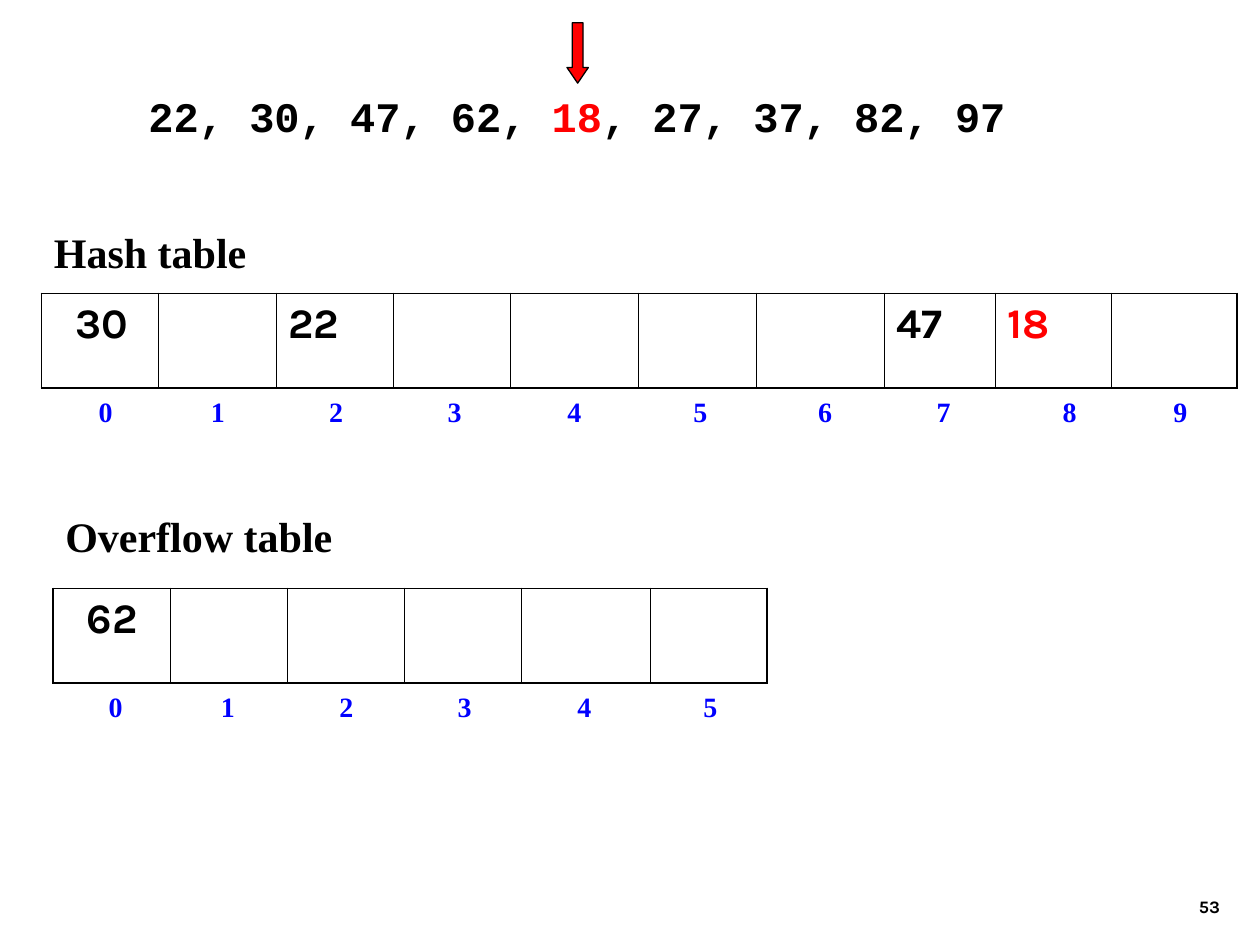
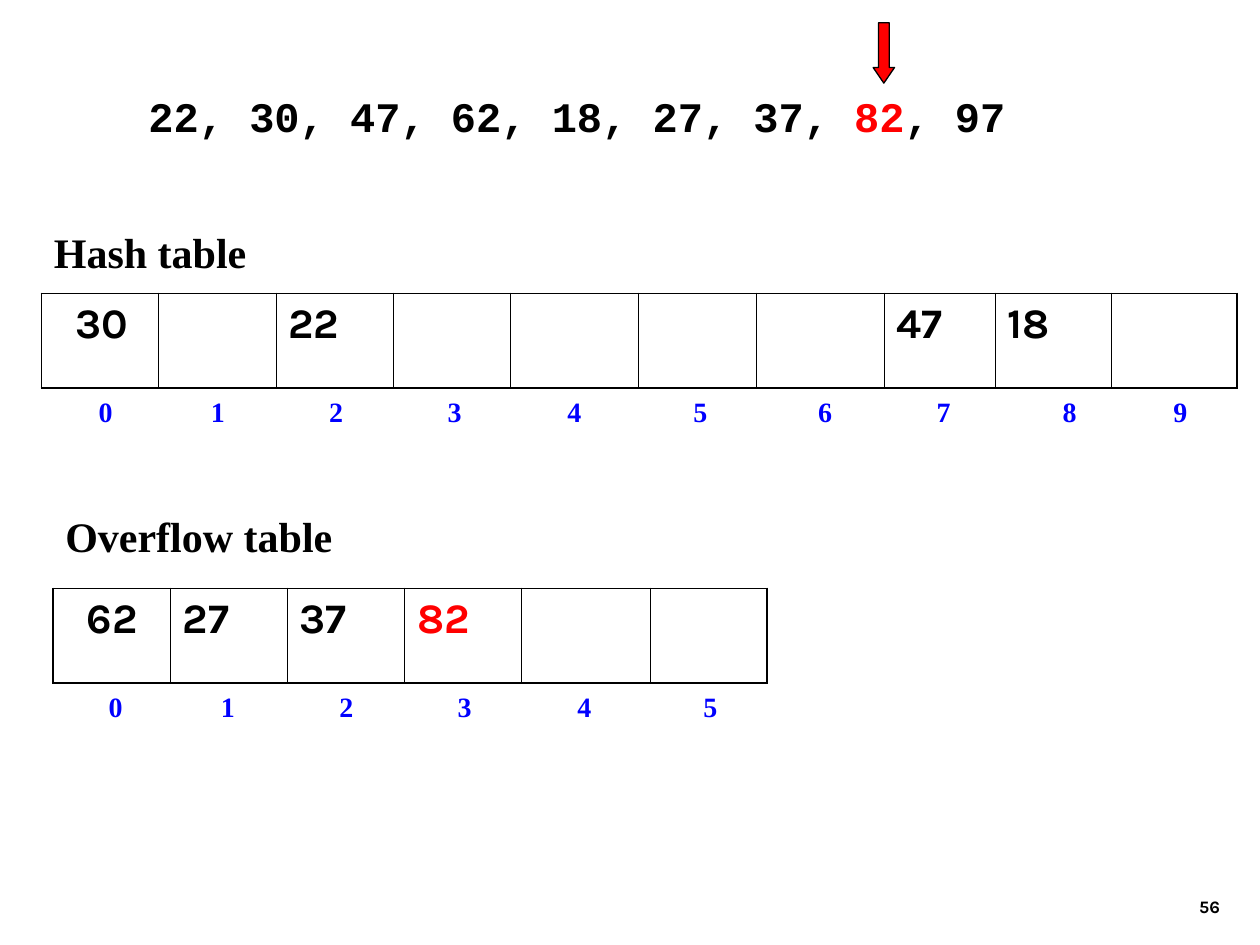
from dataclasses import dataclass
from typing import Any

from lxml.etree import SubElement
from pptx import Presentation
from pptx.dml.color import RGBColor
from pptx.enum.shapes import MSO_SHAPE
from pptx.enum.text import MSO_ANCHOR, PP_ALIGN
from pptx.oxml.ns import qn
from pptx.util import Inches, Pt


@dataclass(frozen=True)
class Theme:
    """Colours, fonts, type sizes and line widths shared by the slides."""
    ink: str = "000000"
    accent: str = "FF0000"
    index: str = "0000FF"
    serif: str = "Times New Roman"
    mono: str = "Courier New"
    sans: str = "Karla"
    large: float = 24
    medium: float = 16
    small: float = 10
    outer_line: float = 1.08
    inner_line: float = 0.45
    arrow_line: float = 0.75


@dataclass(frozen=True)
class Area:
    """A rectangle in inches."""
    left: float
    top: float
    width: float
    height: float

    def lengths(self) -> list[int]:
        """Return the rectangle as lengths."""
        return [Inches(side) for side in (self.left, self.top, self.width, self.height)]


@dataclass(frozen=True)
class Store:
    """A one-row table with its heading and the strip of slot numbers."""
    title: str
    heading: Area
    left: float
    top: float
    slots: int
    strip: Area


@dataclass(frozen=True)
class Step:
    """One insertion: the position of the current key and the page number."""
    current: int
    number: int


THEME = Theme()
KEYS = [22, 30, 47, 62, 18, 27, 37, 82, 97]
COLUMNS = [0.93, 0.93, 0.93, 0.93, 1.02, 0.93, 1.02, 0.88, 0.92, 1]
INDEX_STOPS = [0.49, 1.38, 2.32, 3.26, 4.21, 5.21, 6.2, 7.14, 8.14, 9.02]
ROW_HEIGHT = 0.75
CELL_MARGIN = 0.1
FIRST_CELL_MARGIN = 0.27
ARROW_START, KEY_PITCH = 1.26, 0.81
SEQUENCE = Area(1.08, 0.67, 7, 0.5)
PAGE_NUMBER = Area(7.7, 6.83, 2.08, 0.5)
HASH = Store("Hash table", Area(0.33, 1.75, 1.83, 0.5), 0.33, 2.33, 10,
             Area(0.25, 3.08, 9.58, 0.64))
OVERFLOW = Store("Overflow table", Area(0.42, 4, 2.75, 0.5), 0.42, 4.67, 6,
                 Area(0.33, 5.42, 5.75, 0.37))
STEPS = [Step(4, 53), Step(7, 56)]


def add_span(para: Any, text: str, face: str, size: float, color: str) -> None:
    """Append a bold run to a paragraph."""
    span = para.add_run()
    span.text = text
    for name, value in {"name": face, "size": Pt(size), "bold": True}.items():
        setattr(span.font, name, value)
    span.font.color.rgb = RGBColor.from_string(color)


def add_box(page: Any, area: Area, **frame_format: Any) -> Any:
    """Add a text box and return its first paragraph."""
    frame = page.shapes.add_textbox(*area.lengths()).text_frame
    for name, value in {"word_wrap": True, **frame_format}.items():
        setattr(frame, name, value)
    return frame.paragraphs[0]


def set_borders(cell: Any, first: bool, last: bool) -> None:
    """Give a cell a heavy outer edge and thin inner edges."""
    widths = {
        "lnL": THEME.outer_line if first else THEME.inner_line,
        "lnR": THEME.outer_line if last else THEME.inner_line,
        "lnT": THEME.outer_line,
        "lnB": THEME.outer_line,
    }
    properties = cell._tc.get_or_add_tcPr()
    for tag, width in widths.items():
        line = SubElement(properties, qn(f"a:{tag}"), w=str(Pt(width)))
        fill = SubElement(line, qn("a:solidFill"))
        SubElement(fill, qn("a:srgbClr"), val=THEME.ink)


def place_keys(inserted: list[int]) -> tuple[dict[int, int], dict[int, int]]:
    """Hash each key by its last digit and send collisions to the overflow."""
    hashed: dict[int, int] = {}
    overflow: dict[int, int] = {}
    for key in inserted:
        slot = key % HASH.slots
        if slot in hashed:
            overflow[len(overflow)] = key
        else:
            hashed[slot] = key
    return hashed, overflow


def add_store(page: Any, store: Store, entries: dict[int, int], current: int) -> None:
    """Draw the heading, the table and the slot numbers of a store."""
    add_span(add_box(page, store.heading), store.title, THEME.serif, THEME.large, THEME.ink)
    widths = COLUMNS[:store.slots]
    area = Area(store.left, store.top, sum(widths), ROW_HEIGHT)
    table = page.shapes.add_table(1, store.slots, *area.lengths()).table
    for name in ("first_row", "horz_banding"):
        setattr(table, name, False)
    for slot, width in enumerate(widths):
        table.columns[slot].width = Inches(width)
        cell = table.cell(0, slot)
        set_borders(cell, slot == 0, slot == store.slots - 1)
        cell.fill.background()
        cell.margin_left = Inches(CELL_MARGIN if slot else FIRST_CELL_MARGIN)
        if slot in entries:
            key = entries[slot]
            color = THEME.accent if key == current else THEME.ink
            add_span(cell.text_frame.paragraphs[0], str(key), THEME.sans, THEME.large, color)
    para = add_box(page, store.strip)
    stops = SubElement(para._p.get_or_add_pPr(), qn("a:tabLst"))
    for position in INDEX_STOPS[:store.slots]:
        SubElement(stops, qn("a:tab"), pos=str(Inches(position)), algn="ctr")
    labels = "".join(f"\t{slot}" for slot in range(store.slots))
    add_span(para, labels, THEME.serif, THEME.medium, THEME.index)


def add_sequence(page: Any, current: int) -> None:
    """Write the keys with the current one marked by colour and arrow."""
    para = add_box(page, SEQUENCE, word_wrap=False)
    before = "".join(f"{key}, " for key in KEYS[:current])
    after = "".join(f", {key}" for key in KEYS[current + 1:])
    for text, color in ((before, THEME.ink), (str(KEYS[current]), THEME.accent),
                        (after, THEME.ink)):
        add_span(para, text, THEME.mono, THEME.large, color)
    area = Area(ARROW_START + KEY_PITCH * current, 0.18, 0.17, 0.48)
    arrow = page.shapes.add_shape(MSO_SHAPE.DOWN_ARROW, *area.lengths())
    arrow.shadow.inherit = False
    arrow.adjustments[0], arrow.adjustments[1] = 0.5, 0.73
    arrow.fill.solid()
    arrow.fill.fore_color.rgb = RGBColor.from_string(THEME.accent)
    arrow.line.color.rgb = RGBColor.from_string(THEME.ink)
    arrow.line.width = Pt(THEME.arrow_line)


def add_page(deck: Any, step: Step) -> None:
    """Add the slide for one insertion step."""
    page = deck.slides.add_slide(deck.slide_layouts[6])
    para = add_box(page, PAGE_NUMBER, vertical_anchor=MSO_ANCHOR.BOTTOM)
    para.alignment = PP_ALIGN.RIGHT
    add_span(para, str(step.number), THEME.sans, THEME.small, THEME.ink)
    placed = place_keys(KEYS[:step.current + 1])
    for store, entries in zip((HASH, OVERFLOW), placed):
        add_store(page, store, entries, KEYS[step.current])
    add_sequence(page, step.current)


def main() -> None:
    """Build and save the deck."""
    deck = Presentation()
    deck.slide_width, deck.slide_height = Inches(10), Inches(7.5)
    for step in STEPS:
        add_page(deck, step)
    deck.save("out.pptx")


if __name__ == "__main__":
    main()
